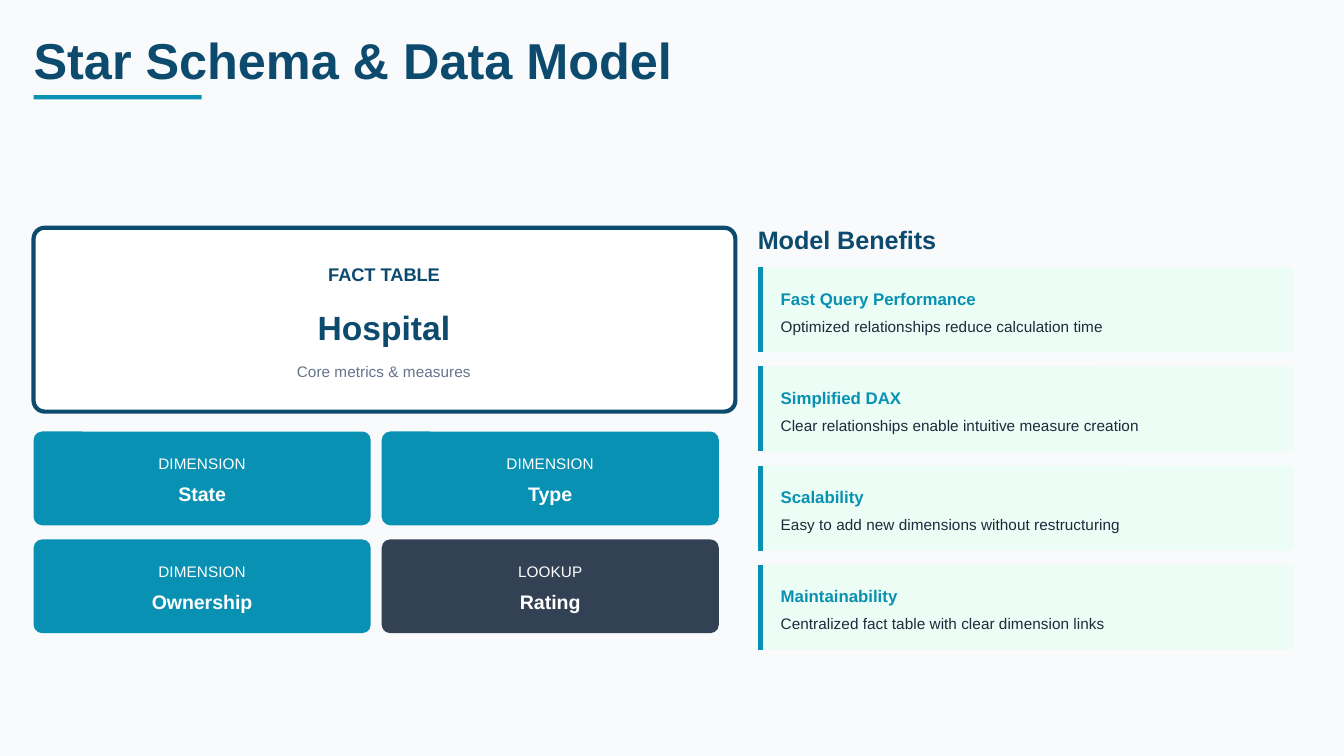
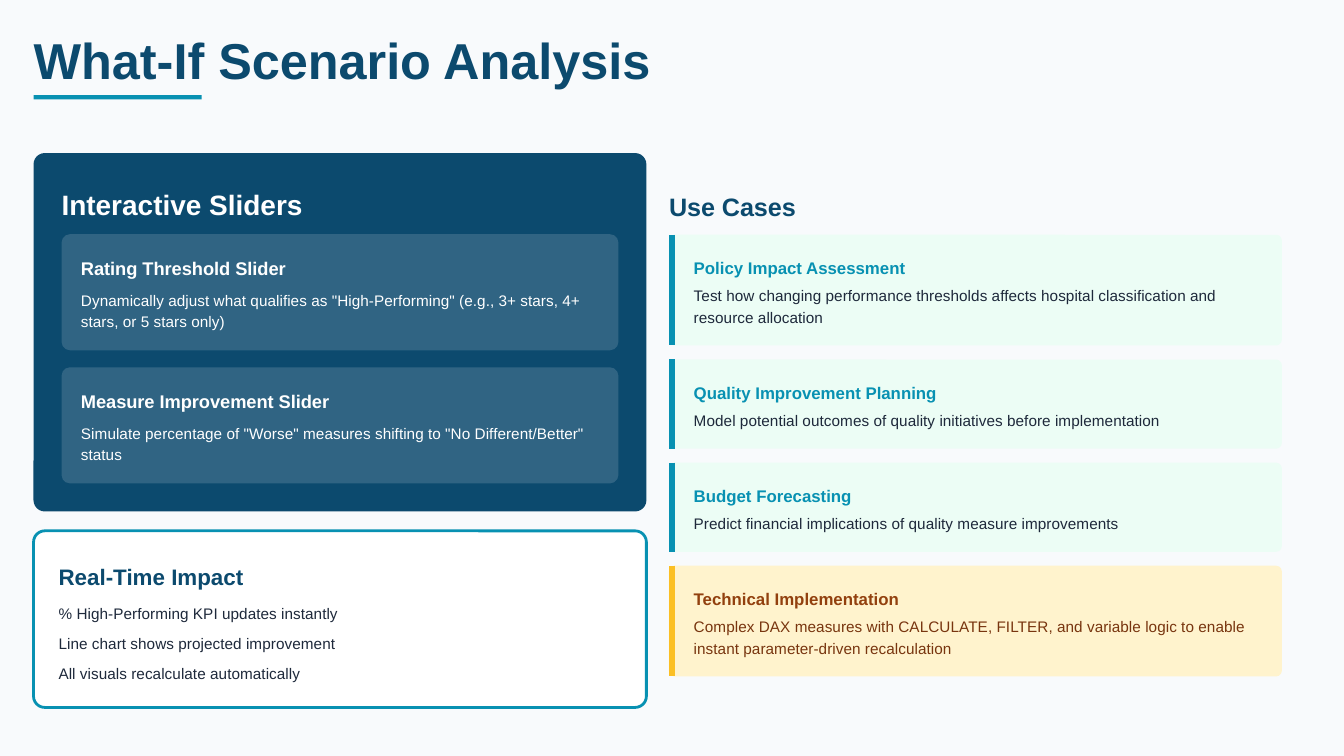
from lxml import etree
from pptx import Presentation
from pptx import util as u
from pptx.dml.color import RGBColor
from pptx.enum import shapes, text
from pptx.oxml import ns

Pt = u.Pt
FONT = "Arial"
COLORS = {
    "page": "F8FAFC", "navy": "0C4A6E", "teal": "0891B2", "slate": "334155",
    "muted": "64748B", "ink": "1E293B", "white": "FFFFFF", "mint": "ECFDF5",
    "cream": "FFF3CD", "amber": "FBBF24", "rust": "92400E", "brown": "78350F",
}
COLORS = {name: RGBColor.from_string(value) for name, value in COLORS.items()}
SMALL = 8.25
LEFT = 18


def add_box(s, x, y, w, h, fill, radius=0, line=None, line_w=0):
    kind = shapes.MSO_SHAPE.ROUNDED_RECTANGLE if radius else shapes.MSO_SHAPE.RECTANGLE
    sp = s.shapes.add_shape(kind, Pt(x), Pt(y), Pt(w), Pt(h))
    sp.shadow.inherit = False
    if radius:
        sp.adjustments[0] = radius / min(w, h)
    sp.fill.solid()
    sp.fill.fore_color.rgb = COLORS[fill]
    if line:
        sp.line.color.rgb = COLORS[line]
        sp.line.width = Pt(line_w)
    else:
        sp.line.fill.background()
    return sp


def add_text(s, x, y, w, words, size, color, bold=False, leading=None,
             after=0, center=False, lines=1):
    leading = leading or size * 1.4
    tf = s.shapes.add_textbox(Pt(x), Pt(y), Pt(w), Pt(leading * lines)).text_frame
    tf.word_wrap = True
    tf.margin_left = tf.margin_top = tf.margin_right = tf.margin_bottom = 0
    p = tf.paragraphs[0]
    p.alignment = text.PP_ALIGN.CENTER if center else text.PP_ALIGN.LEFT
    p.line_spacing = Pt(leading)
    p.space_after = Pt(after)
    r = p.add_run()
    r.text = words
    r.font.name = FONT
    r.font.size = Pt(size)
    r.font.bold = bold
    r.font.color.rgb = COLORS[color]


prs = Presentation()
prs.slide_width, prs.slide_height = Pt(720), Pt(405)

# Card styles: fill, accent, heading, body
MINT = ("mint", "teal", "teal", "ink")
CREAM = ("cream", "amber", "rust", "brown")

# Each page: title, right column heading, its place and its cards
pages = [
    dict(title="Star Schema & Data Model", heading="Model Benefits",
         x=406, heading_y=115.4, cards_y=143.3, w=287.25, indent=12.25, pad=9.4, gap=7.5,
         cards=[
             ("Fast Query Performance", "Optimized relationships reduce calculation time", 1, MINT),
             ("Simplified DAX", "Clear relationships enable intuitive measure creation", 1, MINT),
             ("Scalability", "Easy to add new dimensions without restructuring", 1, MINT),
             ("Maintainability", "Centralized fact table with clear dimension links", 1, MINT),
         ]),
    dict(title="What-If Scenario Analysis", heading="Use Cases",
         x=358.4, heading_y=97.5, cards_y=125.8, w=328.3, indent=13.25, pad=10.5, gap=7.5,
         cards=[
             ("Policy Impact Assessment",
              "Test how changing performance thresholds affects hospital classification "
              "and resource allocation", 2, MINT),
             ("Quality Improvement Planning",
              "Model potential outcomes of quality initiatives before implementation", 1, MINT),
             ("Budget Forecasting",
              "Predict financial implications of quality measure improvements", 1, MINT),
             ("Technical Implementation",
              "Complex DAX measures with CALCULATE, FILTER, and variable logic to enable "
              "instant parameter-driven recalculation", 2, CREAM),
         ]),
]

slides = []
for page in pages:
    s = prs.slides.add_slide(prs.slide_layouts[6])
    slides.append(s)
    s.background.fill.solid()
    s.background.fill.fore_color.rgb = COLORS["page"]

    # Title and underline
    add_text(s, LEFT, 18, 350, page["title"], 27, "navy", True, 30, 3)
    add_box(s, LEFT, 51, 90, 2.25, "teal")

    # Right column of accented cards
    x, y, w = page["x"], page["cards_y"], page["w"]
    add_text(s, x, page["heading_y"], w + 6, page["heading"], 13.5, "navy", True, 21, 7.5)
    for heading, body, lines, (fill, accent, heading_color, body_color) in page["cards"]:
        h = 2 * page["pad"] + 15.2 + lines * SMALL * 1.4
        add_box(s, x, y, w, h, fill, 3)
        bar = s.shapes.add_connector(shapes.MSO_CONNECTOR.STRAIGHT,
                                     Pt(x + 1.5), Pt(y), Pt(x + 1.5), Pt(y + h))
        bar.line.color.rgb = COLORS[accent]
        bar.line.width = Pt(3)
        etree.SubElement(bar._element.spPr, ns.qn("a:effectLst"))
        text_x, text_w = x + page["indent"], w - page["indent"] - 4
        add_text(s, text_x, y + page["pad"], text_w, heading, 9, heading_color, True, after=3)
        add_text(s, text_x, y + page["pad"] + 15.4, text_w, body, SMALL, body_color, lines=lines)
        y += h + page["gap"]

schema, scenario = slides

# Fact table
add_box(schema, LEFT, 122, 376, 98.5, "white", 6, "navy", 2.25)
fact_lines = [
    (139, "FACT TABLE", 9.75, "navy", True, 13.65, 9),
    (162, "Hospital", 18, "navy", True, 24, 6),
    (192.4, "Core metrics & measures", SMALL, "muted", False, 11.55, 0),
]
for y, *line in fact_lines:
    add_text(schema, 31.5, y, 348.5, *line, center=True)

# Dimension grid, two by two
tables = [
    ("DIMENSION", "State", "teal"), ("DIMENSION", "Type", "teal"),
    ("DIMENSION", "Ownership", "teal"), ("LOOKUP", "Rating", "slate"),
]
for i, (role, name, fill) in enumerate(tables):
    row, col = divmod(i, 2)
    x, y = LEFT + col * 186.5, 231.2 + row * 57.8
    add_box(schema, x, y, 180.6, 50.2, fill, 4.5)
    add_text(schema, x + 9, y + 10.6, 162.6, role, SMALL, "white", after=3, center=True)
    add_text(schema, x + 9, y + 25.1, 162.6, name, 10.5, "white", True, center=True)

# Interactive sliders
add_box(scenario, LEFT, 82, 328.3, 192, "navy", 6)
add_text(scenario, 33, 97.2, 304.5, "Interactive Sliders", 15, "white", True, 21, 7.5)
sliders = [
    ("Rating Threshold Slider",
     'Dynamically adjust what qualifies as "High-Performing" (e.g., 3+ stars, 4+ stars, '
     'or 5 stars only)'),
    ("Measure Improvement Slider",
     'Simulate percentage of "Worse" measures shifting to "No Different/Better" status'),
]
for i, (heading, body) in enumerate(sliders):
    y = 125.5 + i * 71.3
    sp = add_box(scenario, 33, y, 298.3, 62.2, "white", 4.5)
    color = sp._element.spPr.find(ns.qn("a:solidFill"))[0]
    etree.SubElement(color, ns.qn("a:alpha"), val="15000")
    add_text(scenario, 43.4, y + 10.6, 283, heading, 9.75, "white", True, after=4.5)
    add_text(scenario, 43.4, y + 28.6, 283, body, SMALL, "white", lines=2)

# Real-time impact
add_box(scenario, LEFT, 284.4, 328.3, 94.6, "white", 6, "teal", 1.5)
add_text(scenario, 31.4, 298.2, 307.5, "Real-Time Impact", 12, "navy", True, 18, 6)
impacts = [
    "% High-Performing KPI updates instantly",
    "Line chart shows projected improvement",
    "All visuals recalculate automatically",
]
for i, impact in enumerate(impacts):
    add_text(scenario, 31.4, 322.1 + i * 16.1, 307.5, impact, SMALL, "ink",
             after=4.5 if i < len(impacts) - 1 else 0)

prs.save("out.pptx")
